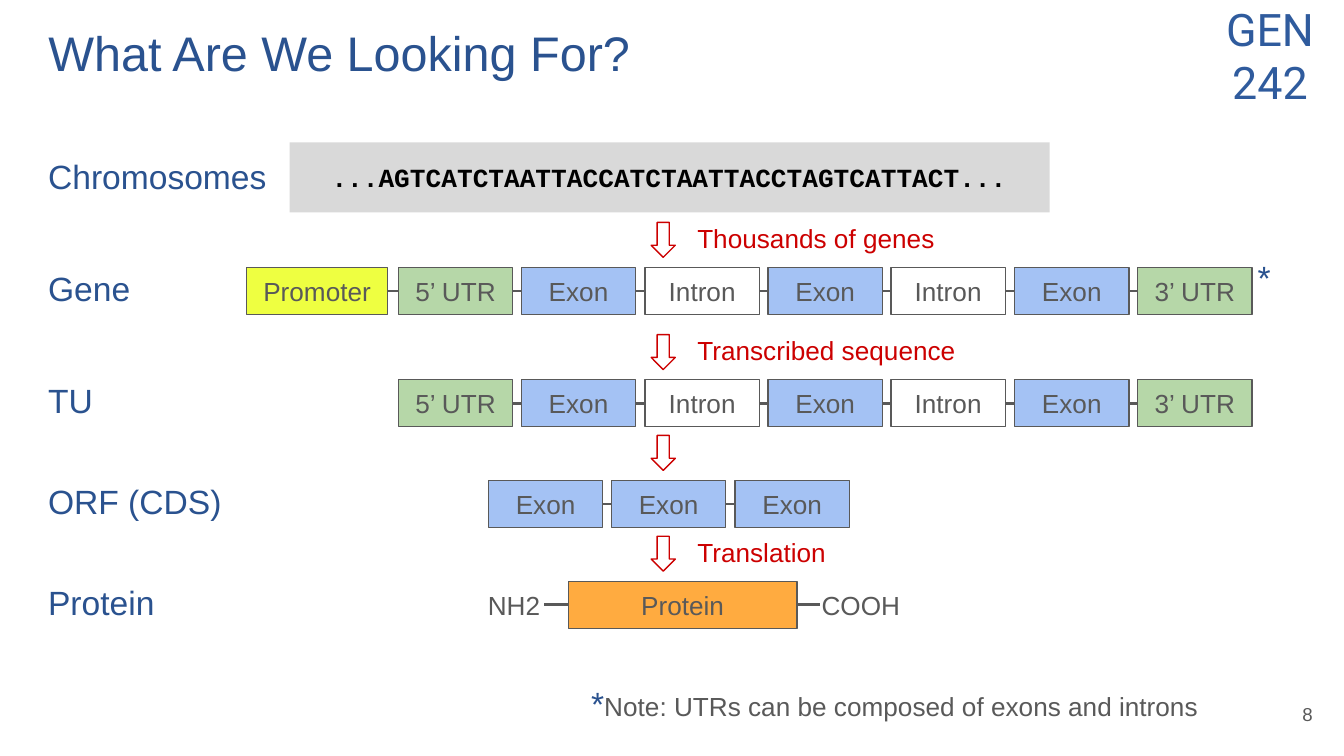
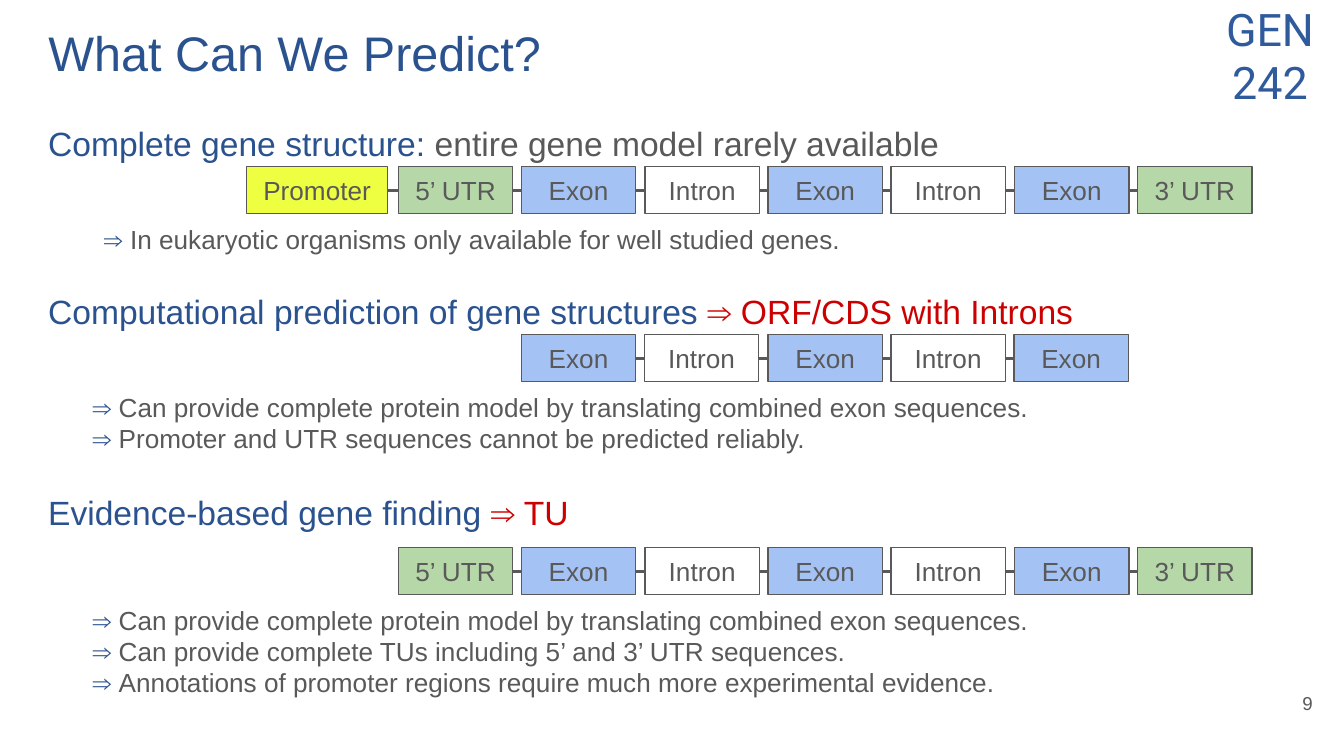
from lxml import etree
from pptx import Presentation
from pptx.dml.color import RGBColor
from pptx.enum.shapes import MSO_CONNECTOR, MSO_SHAPE
from pptx.enum.text import MSO_ANCHOR, MSO_AUTO_SIZE, PP_ALIGN
from pptx.oxml.ns import qn
from pptx.util import Pt

PX = 4572  # 200 px to the inch
SLIDE_W, SLIDE_H = 2000, 1125
INSET = 20

RECT, DOWN_ARROW = MSO_SHAPE.RECTANGLE, MSO_SHAPE.DOWN_ARROW
STRAIGHT = MSO_CONNECTOR.STRAIGHT
LEFT, CENTER, RIGHT = PP_ALIGN.LEFT, PP_ALIGN.CENTER, PP_ALIGN.RIGHT
TOP, MIDDLE = MSO_ANCHOR.TOP, MSO_ANCHOR.MIDDLE
NO_AUTOFIT = MSO_AUTO_SIZE.NONE

COLORS = {
    "heading": "2A528F", "course": "2F5B9D", "body": "595959", "accent": "CC0000",
    "sequence": "000000", "chromosome": "D9D9D9", "promoter": "EEFF41",
    "utr": "B6D7A8", "exon": "A4C2F4", "intron": "FFFFFF", "protein": "FFAB40",
}
FEATURE_FILLS = {"Promoter": "promoter", "5’ UTR": "utr", "3’ UTR": "utr",
                 "Exon": "exon", "Intron": "intron", "Protein": "protein"}

CDS = ["Exon", "Intron", "Exon", "Intron", "Exon"]
TU = ["5’ UTR", *CDS, "3’ UTR"]
FEATURE_W, FEATURE_H = 170, 70
FEATURE_PITCH = 550 / 3
PROMOTER_W = 210
PROMOTER_X, TU_X, CDS_X, ORF_X = 367, 593, 776, 727
LABEL_X, LABEL_H = 52, 104


def rgb(name):
    return RGBColor.from_string(COLORS[name])


def emu(*lengths):
    return [length * PX for length in lengths]


def write(shape, *paragraphs, size=14, color="body", font="Arial", bold=False,
          align=LEFT, anchor=TOP):
    """Each paragraph is a string or a list of (text, color[, size]) runs."""
    frame = shape.text_frame
    frame.word_wrap = True
    frame.auto_size = NO_AUTOFIT
    frame.vertical_anchor = anchor
    frame.margin_left = frame.margin_right = INSET * PX
    frame.margin_top = frame.margin_bottom = INSET * PX
    for index, content in enumerate(paragraphs):
        paragraph = frame.paragraphs[0] if index == 0 else frame.add_paragraph()
        paragraph.alignment = align
        runs = [(content, color)] if isinstance(content, str) else content
        for text, run_color, *run_size in runs:
            run = paragraph.add_run()
            run.text = text
            run.font.name = font
            run.font.size = Pt(run_size[0] if run_size else size)
            run.font.bold = bold
            run.font.color.rgb = rgb(run_color)


def add_text(slide, box, *paragraphs, **style):
    write(slide.shapes.add_textbox(*emu(*box)), *paragraphs, **style)


def add_block(slide, kind, box, fill=None, line=None):
    block = slide.shapes.add_shape(kind, *emu(*box))
    block.shadow.inherit = False
    if fill:
        block.fill.solid()
        block.fill.fore_color.rgb = rgb(fill)
    else:
        block.fill.background()
    if line:
        block.line.color.rgb = rgb(line)
        block.line.width = Pt(0.75)
    else:
        block.line.fill.background()
    return block


def add_strand(slide, start, end, y):
    strand = slide.shapes.add_connector(STRAIGHT, *emu(start, y, end, y))
    strand.line.color.rgb = rgb("body")
    strand.line.width = Pt(1.5)
    etree.SubElement(strand._element.spPr, qn("a:effectLst"))


def add_feature(slide, name, x, y, width=FEATURE_W):
    feature = add_block(slide, RECT, (x, y, width, FEATURE_H),
                        FEATURE_FILLS[name], "body")
    write(feature, name, align=CENTER, anchor=MIDDLE)


def add_chain(slide, features, x, y, strand):
    """Evenly spaced features in front of a strand given as (start, end)."""
    add_strand(slide, *strand, y + FEATURE_H // 2)
    for index, name in enumerate(features):
        add_feature(slide, name, round(x + index * FEATURE_PITCH), y)


def add_tu(slide, y, start=TU_X):
    add_chain(slide, TU, TU_X, y, (start, 1818))


def add_gene(slide, y):
    add_tu(slide, y, start=460)
    add_feature(slide, "Promoter", PROMOTER_X, y, PROMOTER_W)


def add_orf(slide, y):
    add_chain(slide, ["Exon"] * 3, ORF_X, y, (ORF_X, 1262))


def add_protein(slide, y):
    add_strand(slide, 810, 1220, y + FEATURE_H // 2)
    add_feature(slide, "Protein", 846, y, 2 * FEATURE_W)
    for terminus, x in (("COOH", 1163), ("NH2", 647)):
        add_text(slide, (x, y, 236, FEATURE_H), terminus, align=CENTER, anchor=MIDDLE)


def add_label(slide, y, text):
    add_text(slide, (LABEL_X, y, 366, LABEL_H), text, size=18, color="heading")


def add_step(slide, y, caption):
    """Arrow into the level whose features start at y, with its caption."""
    add_block(slide, DOWN_ARROW, (969, y - 67, 36, 52), line="accent")
    if caption:
        add_text(slide, (1018, y - 87, 654, 86), caption, color="accent")


def add_base(deck, title, number, number_y):
    """Title-only slide with course code and slide number."""
    slide = deck.slides.add_slide(deck.slide_layouts[5])
    heading = slide.shapes.title
    heading.left, heading.top, heading.width, heading.height = emu(52, 14, 1864, 126)
    write(heading, title, size=26, color="heading")
    add_text(slide, (1764, -18, 252, 196), "GEN", "242",
             size=24, color="course", font="Roboto", align=CENTER)
    add_text(slide, (1853, number_y, 120, 86), number,
             size=10, align=RIGHT, anchor=MIDDLE)
    return slide


def build_levels_slide(deck):
    slide = add_base(deck, "What Are We Looking For?", "8", 1020)
    add_label(slide, 212, "Chromosomes")
    chromosome = add_block(slide, RECT, (431, 212, 1131, 104), "chromosome")
    write(chromosome, "...AGTCATCTAATTACCATCTAATTACCTAGTCATTACT...", color="sequence",
          font="Courier New", bold=True, align=CENTER, anchor=MIDDLE)

    levels = [
        ("Gene", 398, "Thousands of genes", add_gene),
        ("TU", 565, "Transcribed sequence", add_tu),
        ("ORF (CDS)", 715, None, add_orf),
        ("Protein", 865, "Translation", add_protein),
    ]
    for label, y, caption, add_level in levels:
        add_level(slide, y)
        add_label(slide, y - 19, label)
        add_step(slide, y, caption)

    add_text(slide, (1852, 362, 366, LABEL_H), "*", size=18, color="heading")
    add_text(slide, (860, 996, 1064, LABEL_H),
             [("*", "heading", 18),
              ("Note: UTRs can be composed of exons and introns", "body")])


def add_prediction(slide, y, heading, points, points_x, points_y):
    add_text(slide, (LABEL_X, y, 1642, LABEL_H), heading, size=18)
    add_text(slide, (points_x, points_y, 1758, LABEL_H),
             *[[("⇒ ", "heading"), (point, "body")] for point in points])


def build_predictions_slide(deck):
    slide = add_base(deck, "What Can We Predict?", "9", 1004)
    translated = ("Can provide complete protein model by translating "
                  "combined exon sequences.")

    add_gene(slide, 248)
    add_prediction(
        slide, 163,
        [("Complete gene structure: ", "heading"),
         ("entire gene model rarely available", "body")],
        ["In eukaryotic organisms only available for well studied genes."], 135, 312)

    add_chain(slide, CDS, CDS_X, 498, (CDS_X, 1679))
    add_prediction(
        slide, 413,
        [("Computational prediction of gene structures ", "heading"),
         ("⇒ ORF/CDS with Introns", "accent")],
        [translated, "Promoter and UTR sequences cannot be predicted reliably."], 118, 562)

    add_tu(slide, 815)
    add_prediction(
        slide, 712,
        [("Evidence-based gene finding ", "heading"), ("⇒ TU", "accent")],
        [translated,
         "Can provide complete TUs including 5’ and 3’ UTR sequences.",
         "Annotations of promoter regions require much more experimental evidence."],
        118, 879)


def main():
    deck = Presentation()
    deck.slide_width, deck.slide_height = emu(SLIDE_W, SLIDE_H)
    build_levels_slide(deck)
    build_predictions_slide(deck)
    deck.save("out.pptx")


if __name__ == "__main__":
    main()
